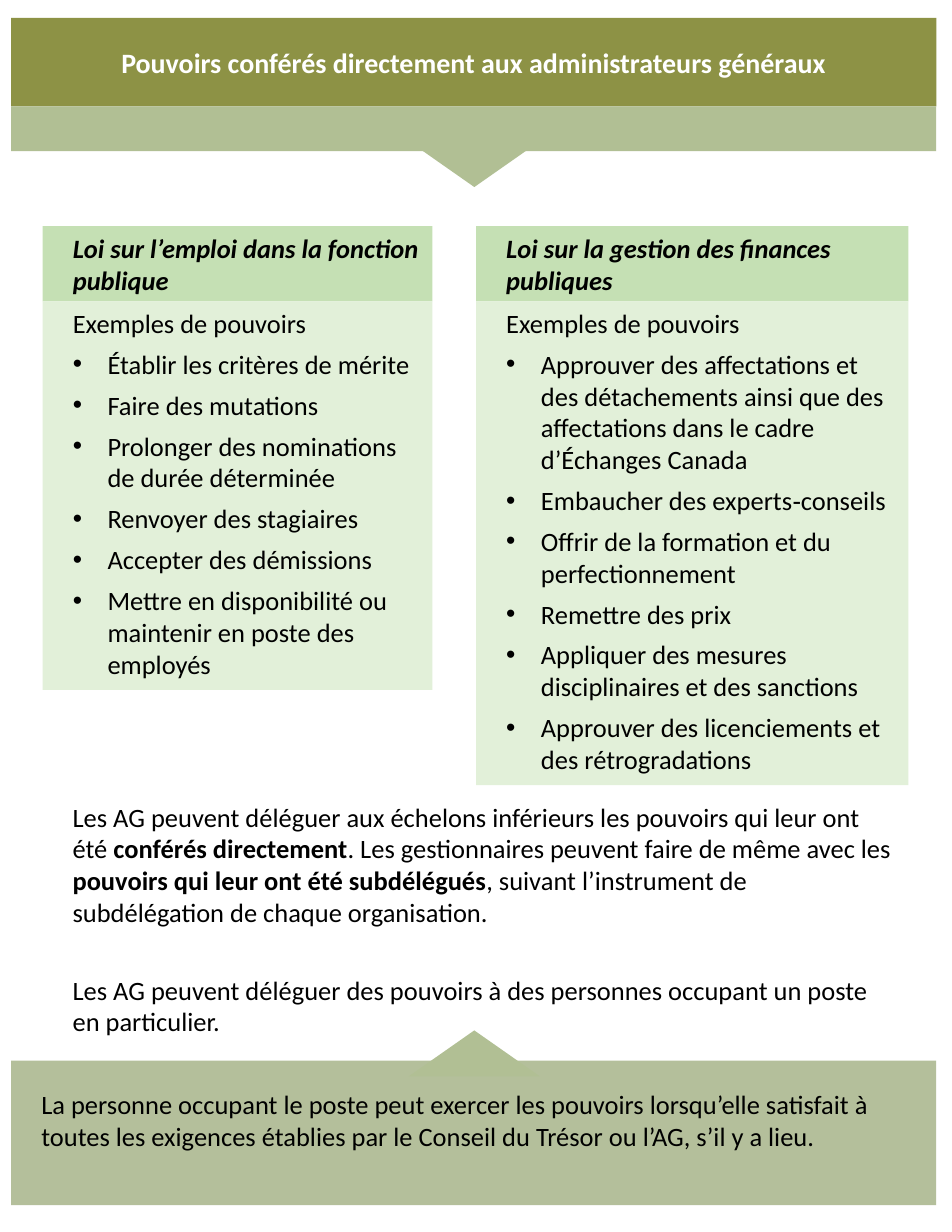
from dataclasses import dataclass

from lxml import etree
from pptx import Presentation
from pptx import util as u
from pptx.dml.color import RGBColor
from pptx.enum import shapes, text
from pptx.oxml.ns import qn


@dataclass(frozen=True)
class Theme:
    font: str = "Calibri"
    title_size: float = 18
    body_size: float = 17
    gap: float = 5.9
    olive: str = "8D9245"
    sage: str = "B1BF94"
    footer: str = "B4BF9B"
    heading: str = "C5E0B4"
    panel: str = "E2F0D9"
    dark: str = "000000"
    light: str = "FFFFFF"


class Page:
    COLS, ROWS = 85, 110
    INDENT, HANG = 0.17, 0.31

    def __init__(self, prs, layout, theme):
        self.theme = theme
        self.col = prs.slide_width / self.COLS
        self.row = prs.slide_height / self.ROWS
        self.slide = prs.slides.add_slide(prs.slide_layouts[layout])

    def box(self, x, y, w, h):
        return [int(v) for v in (x * self.col, y * self.row, w * self.col, h * self.row)]

    def paint(self, sp, color):
        sp.fill.solid()
        sp.fill.fore_color.rgb = RGBColor.from_string(color)

    def shape(self, kind, area, color, rotation=0):
        sp = self.slide.shapes.add_shape(kind, *self.box(*area))
        self.paint(sp, color)
        sp.line.fill.background()
        sp.shadow.inherit = False
        sp.rotation = rotation

    def frame(self, sp, anchor):
        tf = sp.text_frame
        tf.word_wrap = True
        tf.auto_size = text.MSO_AUTO_SIZE.NONE
        tf.vertical_anchor = anchor
        return tf

    def placeholder(self, idx, area, color, anchor=text.MSO_ANCHOR.MIDDLE):
        sp = self.slide.placeholders[idx]
        sp.left, sp.top, sp.width, sp.height = self.box(*area)
        self.paint(sp, color)
        return self.frame(sp, anchor)

    def textbox(self, area):
        sp = self.slide.shapes.add_textbox(*self.box(*area))
        return self.frame(sp, text.MSO_ANCHOR.TOP)

    def paragraph(self, tf, runs, bullet=False, indent=INDENT, after=None,
                  align=text.PP_ALIGN.LEFT, size=None, color=None, italic=False):
        p = tf.paragraphs[0]
        if p.runs:
            p = tf.add_paragraph()
        p.alignment = align
        p.line_spacing = 1.0
        p.space_before = u.Pt(0)
        p.space_after = u.Pt(self.theme.gap if after is None else after)
        hang = self.HANG if bullet else 0
        pPr = p._p.get_or_add_pPr()
        pPr.set("marL", str(u.Inches(indent + hang)))
        pPr.set("indent", str(-u.Inches(hang)))
        if bullet:
            etree.SubElement(pPr, qn("a:buFont"), typeface="Arial")
            etree.SubElement(pPr, qn("a:buChar"), char="•")
        else:
            etree.SubElement(pPr, qn("a:buNone"))
        for words, bold in runs:
            r = p.add_run()
            r.text = words
            r.font.name = self.theme.font
            r.font.size = u.Pt(size or self.theme.body_size)
            r.font.bold = bold
            r.font.italic = italic
            r.font.color.rgb = RGBColor.from_string(color or self.theme.dark)

    def title(self, words, area):
        tf = self.placeholder(0, area, self.theme.olive)
        self.paragraph(tf, [(words, True)], indent=0, after=0, align=text.PP_ALIGN.CENTER,
                       size=self.theme.title_size, color=self.theme.light)

    def act(self, idx, name, powers, x, w, h):
        body = self.placeholder(idx + 1, (x, HEAD_Y + HEAD_H, w, h), self.theme.panel,
                                text.MSO_ANCHOR.TOP)
        self.paragraph(body, [("Exemples de pouvoirs", False)])
        for power in powers:
            self.paragraph(body, [(power, False)], bullet=True)
        head = self.placeholder(idx, (x, HEAD_Y, w, HEAD_H), self.theme.heading)
        self.paragraph(head, [(name, True)], italic=True)


HEAD_Y, HEAD_H = 20.2, 6.7
BAND_X, BAND_W = 1, 82.6
ARROW_X, ARROW_W, ARROW_H = 36.5, 11.7, 4.1

ACTS = [
    (1, "Loi sur l’emploi dans la fonction publique", [
        "Établir les critères de mérite",
        "Faire des mutations",
        "Prolonger des nominations de durée déterminée",
        "Renvoyer des stagiaires",
        "Accepter des démissions",
        "Mettre en disponibilité ou maintenir en poste des employés",
    ], 3.8, 34.8, 34.7),
    (3, "Loi sur la gestion des finances publiques", [
        "Approuver des affectations et des détachements ainsi que des affectations "
        "dans le cadre d’Échanges Canada",
        "Embaucher des experts‐conseils",
        "Offrir de la formation et du perfectionnement",
        "Remettre des prix",
        "Appliquer des mesures disciplinaires et des sanctions",
        "Approuver des licenciements et des rétrogradations",
    ], 42.5, 38.6, 43.2),
]

DELEGATION = [
    ([("Les AG peuvent déléguer aux échelons inférieurs les pouvoirs qui leur ont été ", False),
      ("conférés directement", True),
      (". Les gestionnaires peuvent faire de même avec les ", False),
      ("pouvoirs qui leur ont été subdélégués", True),
      (", suivant l’instrument de subdélégation de chaque organisation.", False)], 29.5),
    ([("Les AG peuvent déléguer des pouvoirs à des personnes occupant un poste "
       "en particulier.", False)], 8.8),
]

prs = Presentation()
prs.slide_width, prs.slide_height = u.Inches(8.5), u.Inches(11)
theme = Theme()
page = Page(prs, 4, theme)
RECT = shapes.MSO_SHAPE.RECTANGLE
TRIANGLE = shapes.MSO_SHAPE.ISOSCELES_TRIANGLE

page.shape(TRIANGLE, (ARROW_X, 12.6, ARROW_W, ARROW_H), theme.sage, rotation=180)
page.shape(RECT, (BAND_X, 9.5, BAND_W, 4), theme.sage)
page.title("Pouvoirs conférés directement aux administrateurs généraux",
           (BAND_X, 1.6, BAND_W, 7.9))

for act in ACTS:
    page.act(*act)

delegation = page.textbox((3.8, 71, 77.3, 22.3))
for runs, after in DELEGATION:
    page.paragraph(delegation, runs, after=after)

page.shape(RECT, (BAND_X, 94.7, BAND_W, 12.9), theme.footer)
page.shape(TRIANGLE, (ARROW_X, 92, ARROW_W, ARROW_H), theme.sage)
condition = page.textbox((BAND_X, 96.7, 80.1, 6.7))
page.paragraph(condition, [(
    "La personne occupant le poste peut exercer les pouvoirs lorsqu’elle satisfait à toutes "
    "les exigences établies par le Conseil du Trésor ou l’AG, s’il y a lieu.", False)])

prs.save("out.pptx")
